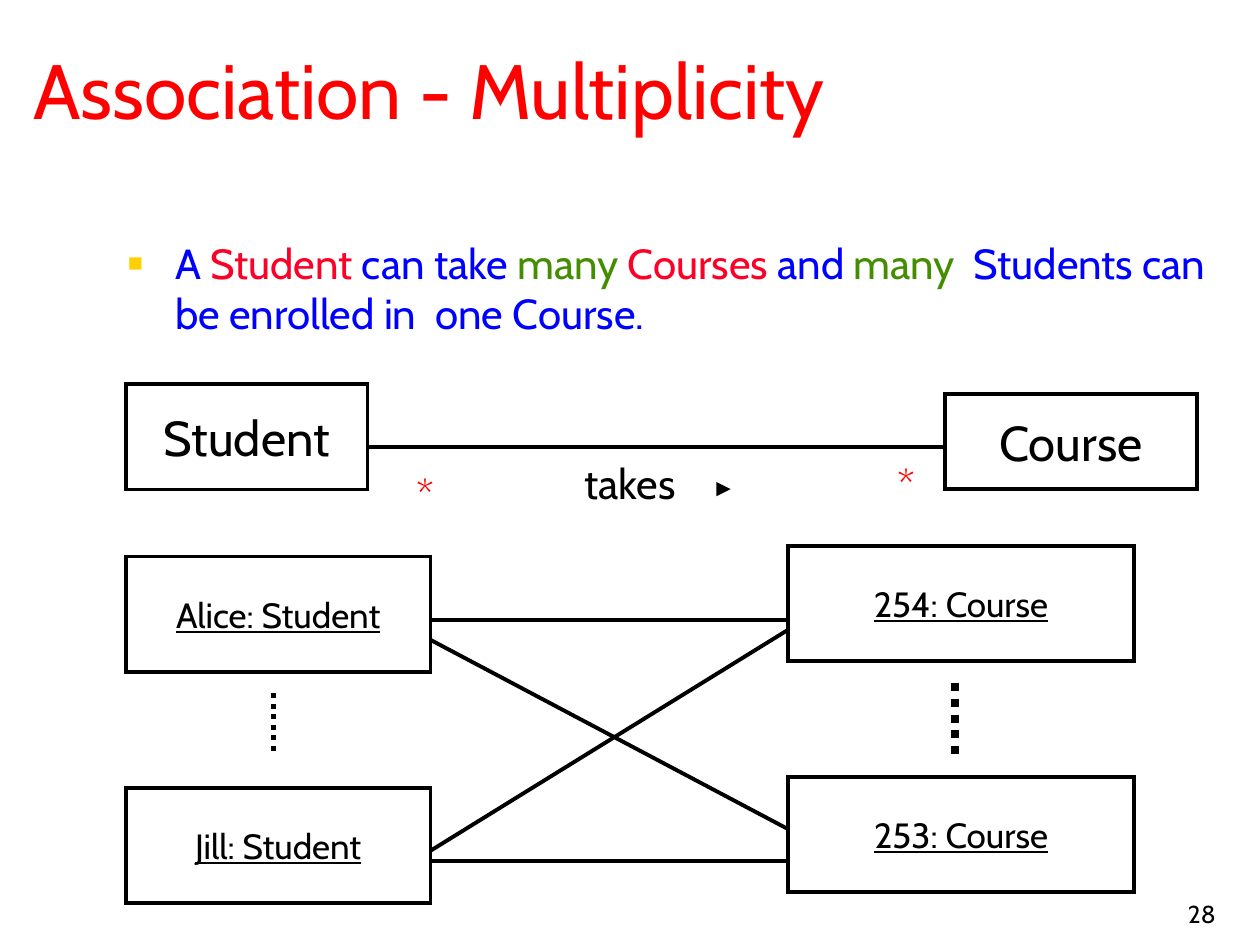
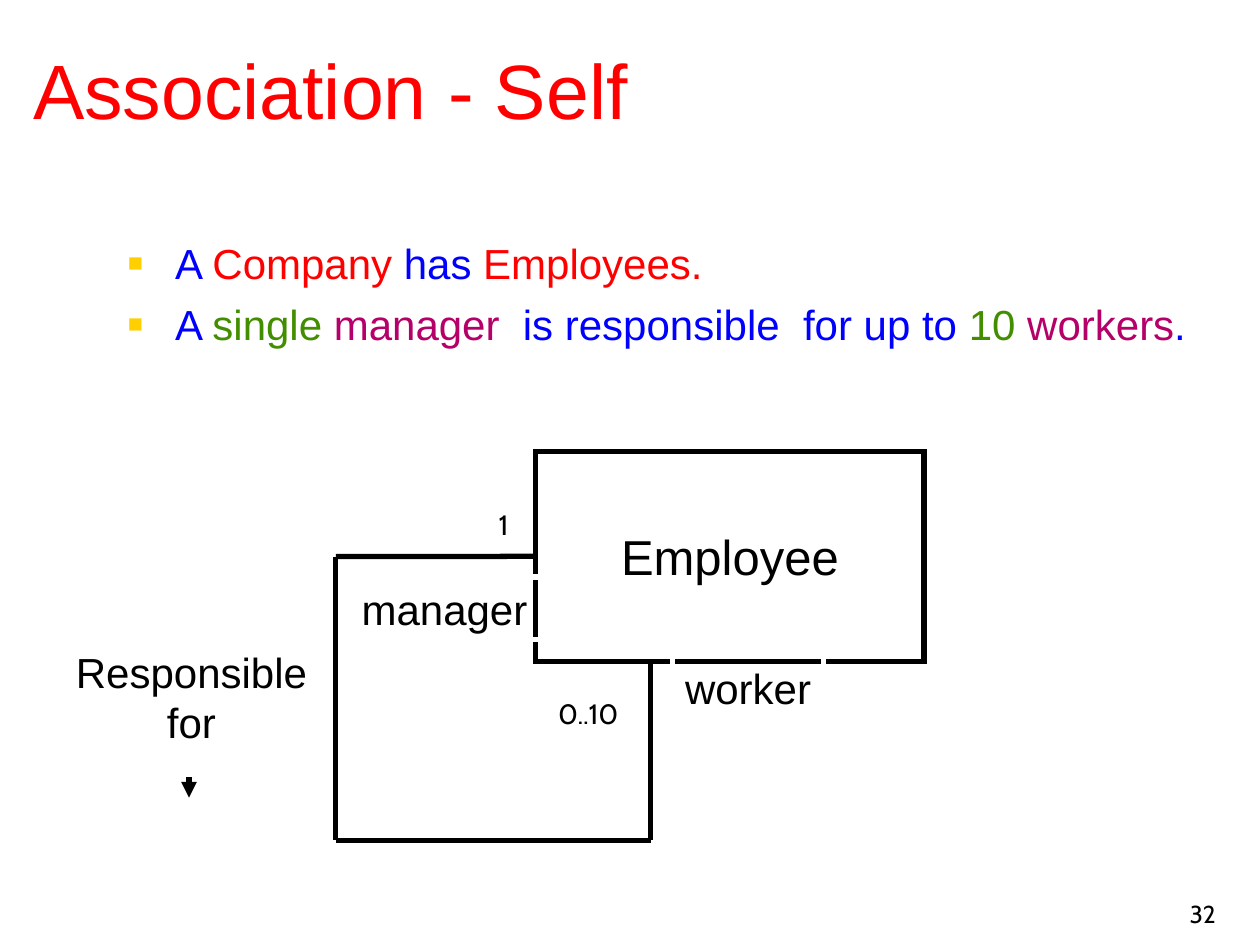
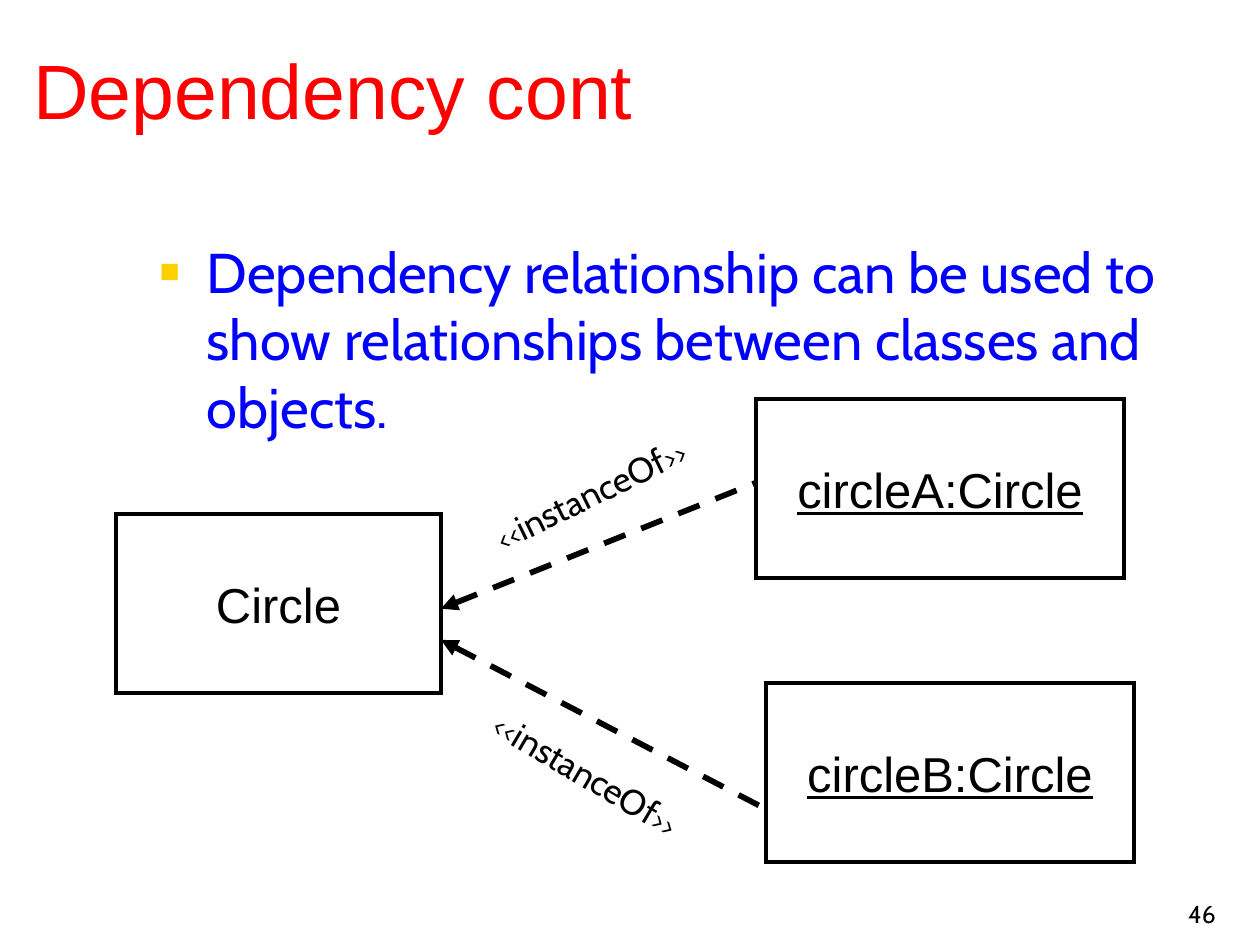
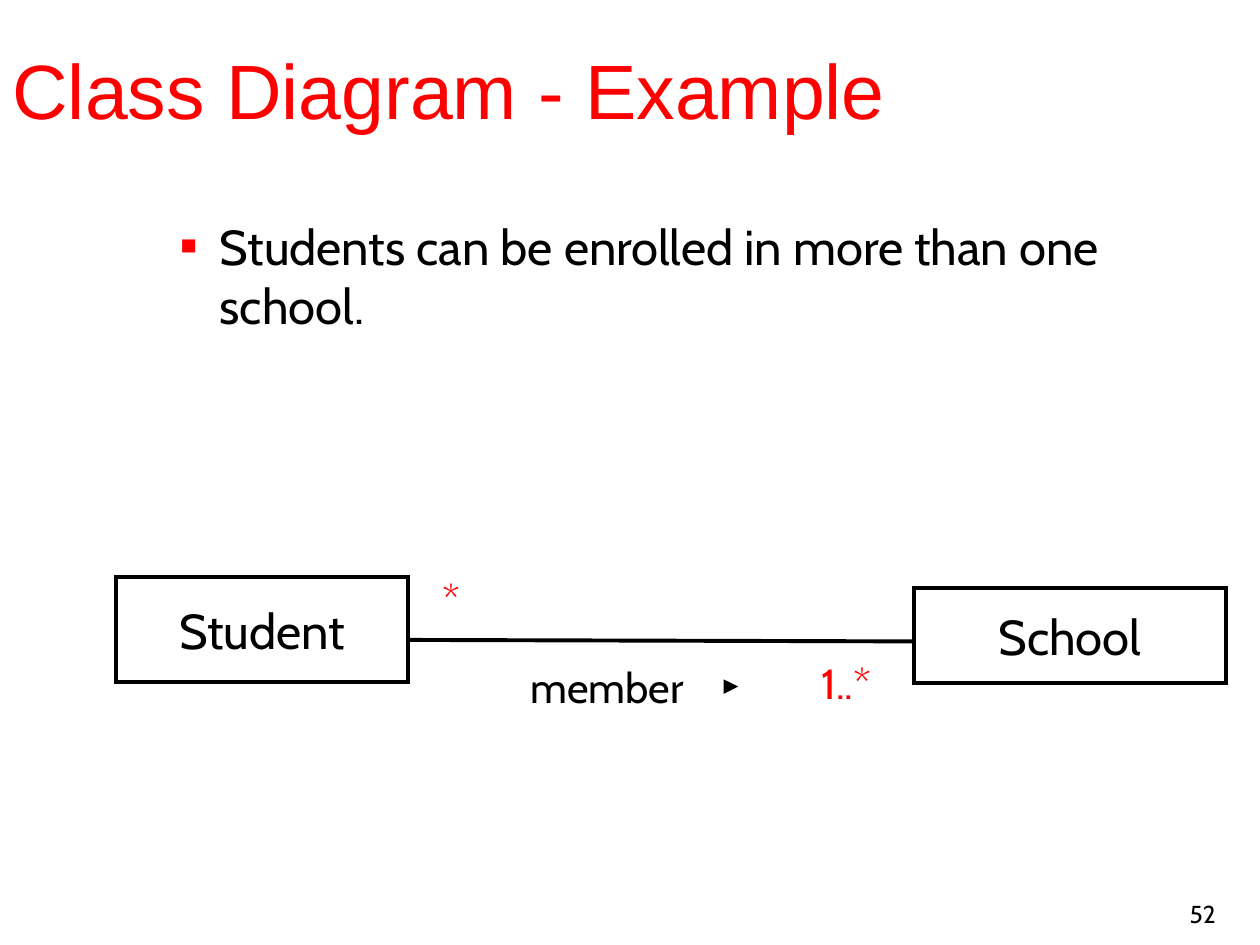
from itertools import pairwise

from pptx import Presentation
from pptx.dml.color import RGBColor
from pptx.enum.dml import MSO_LINE_DASH_STYLE as DASH
from pptx.enum.shapes import MSO_CONNECTOR as CONN, MSO_SHAPE as SHAPE
from pptx.enum.text import MSO_ANCHOR as ANCHOR, MSO_AUTO_SIZE as FIT, PP_ALIGN as ALIGN
from pptx.oxml.ns import qn
from pptx.util import Cm, Pt
from lxml.etree import SubElement

BLACK, WHITE, RED = "000000", "FFFFFF", "FF0000"
BLUE, CRIMSON, GREEN, PURPLE, GOLD = "0000FF", "FC0128", "438E00", "B50069", "FFCF01"
CABIN, ARIAL = "Cabin", "Arial"
BODY = (2.33, 4.66, 22.43, 12.37)
LABEL_H = 1.27
STUDENT_X, COURSE_X = 2.54, 15.88
OBJECT_H, OBJECT_PITCH = 2.33, 4.66


def rgb(value):
    return RGBColor.from_string(value)


def set_format(font, **values):
    for name, value in values.items():
        if name == "color":
            font.color.rgb = rgb(value)
        elif name == "size":
            font.size = Pt(value)
        else:
            setattr(font, name, value)


def add_runs(p, runs, **base):
    for text, changes in runs:
        r = p.add_run()
        r.text = text
        set_format(r.font, **{"name": CABIN, "color": BLACK, **base, **changes})


def write(tf, paragraphs, align=ALIGN.CENTER, anchor=ANCHOR.TOP, wrap=False, **base):
    settings = {
        "margin_left": Cm(0.25), "margin_right": Cm(0.25),
        "margin_top": Cm(0.13), "margin_bottom": Cm(0.13),
        "vertical_anchor": anchor, "word_wrap": wrap,
    }
    for name, value in settings.items():
        setattr(tf, name, value)
    for i, runs in enumerate(paragraphs):
        p = tf.add_paragraph() if i else tf.paragraphs[0]
        p.alignment = align
        add_runs(p, runs, **base)


def add_label(slide, text, box, rotation=0, outline=None, wrap=False, **options):
    sp = slide.shapes.add_textbox(*map(Cm, box))
    sp.rotation = rotation
    if outline:
        sp.line.color.rgb = rgb(outline)
        sp.line.width = Pt(3)
    paragraphs = [[(line, {})] for line in text.split("\n")] if isinstance(text, str) else text
    write(sp.text_frame, paragraphs, wrap=wrap, **options)
    sp.text_frame.auto_size = FIT.NONE if wrap else FIT.SHAPE_TO_FIT_TEXT


def add_class(slide, text, box, line_width=2.25, **options):
    sp = slide.shapes.add_shape(SHAPE.RECTANGLE, *map(Cm, box))
    sp.shadow.inherit = False
    sp.fill.solid()
    sp.fill.fore_color.rgb = rgb(WHITE)
    sp.line.color.rgb = rgb(BLACK)
    sp.line.width = Pt(line_width)
    SubElement(sp._element.spPr.find(qn("a:ln")), qn("a:miter"), lim="800000")
    write(sp.text_frame, [[(text, {})]], anchor=ANCHOR.MIDDLE, **{"size": 28, **options})
    return sp


def add_line(slide, start, end, width=2.25, dash=None, arrow=None):
    c = slide.shapes.add_connector(CONN.STRAIGHT, *map(Cm, (*start, *end)))
    c.line.color.rgb = rgb(BLACK)
    c.line.width = Pt(width)
    if dash:
        c.line.dash_style = dash
    spPr = c._element.spPr
    if arrow:
        SubElement(spPr.find(qn("a:ln")), qn(f"a:{arrow}"), type="triangle")
    SubElement(spPr, qn("a:effectLst"))
    return c


def add_bullets(slide, paragraphs, box=BODY, bullet=GOLD, bullet_size=60,
                margin=0.95, hanging=0.95, gap=6, **base):
    tf = slide.shapes.add_textbox(*map(Cm, box)).text_frame
    write(tf, paragraphs, align=ALIGN.LEFT, wrap=True, **base)
    for i, p in enumerate(tf.paragraphs):
        pPr = p._p.get_or_add_pPr()
        pPr.set("marL", str(Cm(margin)))
        pPr.set("indent", str(-Cm(hanging)))
        SubElement(SubElement(pPr, qn("a:buClr")), qn("a:srgbClr"), val=bullet)
        SubElement(pPr, qn("a:buSzPct"), val=str(bullet_size * 1000))
        SubElement(pPr, qn("a:buFont"), typeface=ARIAL)
        SubElement(pPr, qn("a:buChar"), char="■")
        if i:
            p.space_before = Pt(gap)


def new_slide(prs, title, number, font=ARIAL, left=0.42):
    slide = prs.slides.add_slide(prs.slide_layouts[6])
    add_label(slide, str(number), (19.47, 17.57, 5.29, LABEL_H), align=ALIGN.RIGHT,
              anchor=ANCHOR.BOTTOM, wrap=True, size=14)
    add_label(slide, title, (left, 0.42, 24.41, 2.75), align=ALIGN.LEFT,
              anchor=ANCHOR.MIDDLE, wrap=True, name=font, size=44, color=RED)
    return slide


def colored(*pairs):
    return [(text, {"color": color}) for text, color in pairs]


def add_multiplicity(prs):
    slide = new_slide(prs, "Association - Multiplicity", 28, font=CABIN)
    add_bullets(slide, [colored(
        ("A ", BLUE), ("Student ", CRIMSON), ("can take ", BLUE), ("many ", GREEN),
        ("Courses ", CRIMSON), ("and ", BLUE), ("many", GREEN),
        ("  Students can be enrolled in  one Course.", BLUE))], size=24)

    add_class(slide, "Student", (STUDENT_X, 7.75, 4.87, 2.12))
    add_class(slide, "Course", (19.05, 7.95, 5.08, 1.91))
    add_line(slide, (7.41, 9.02), (19.05, 9.02))
    add_label(slide, "takes", (11.53, 9.1, 2.4, LABEL_H), align=ALIGN.LEFT, size=24)
    add_line(slide, (14.61, 9.86), (14.73, 9.86), 2.75, arrow="tailEnd")
    for box in ((8.03, 9.32, 1.09, LABEL_H), (17.78, 9.12, 0.97, LABEL_H)):
        add_label(slide, "*", box, size=24, color=RED)

    columns = (
        (STUDENT_X, 11.22, 6.14, ("Alice: Student", "Jill: Student")),
        (COURSE_X, 11, 6.99, ("254: Course", "253: Course")),
    )
    for x, top, width, names in columns:
        for row, name in enumerate(names):
            add_class(slide, name, (x, top + row * OBJECT_PITCH, width, OBJECT_H),
                      size=20, underline=True)
    for start_y, end_y in ((12.49, 12.49), (17.15, 12.7), (12.9, 16.71), (17.35, 17.35)):
        add_line(slide, (8.68, start_y), (COURSE_X, end_y))
    for x, top, width in ((5.51, 13.97, 3), (19.25, 13.77, 4.5)):
        add_line(slide, (x, top), (x, 15.24), width, DASH.ROUND_DOT)


def add_self_association(prs):
    slide = new_slide(prs, "Association - Self", 32)
    add_bullets(slide, [
        colored(("A ", BLUE), ("Company ", RED), ("has ", BLUE), ("Employees.", RED)),
        colored(("A ", BLUE), ("single ", GREEN), ("manager  ", PURPLE),
                ("is responsible  for up to ", BLUE), ("10 ", GREEN),
                ("workers", PURPLE), (".", BLUE)),
    ], name=ARIAL, size=24)

    add_line(slide, (3.81, 15.67), (3.81, 16.08), 3, arrow="tailEnd")
    employee = add_class(slide, "Employee", (10.8, 9.1, 7.83, 4.23), 3, name=ARIAL)
    loop = ((10.8, 11.22), (6.77, 11.22), (6.77, 16.94), (13.12, 16.94), (13.12, 13.33))
    sides = [add_line(slide, start, end, 3) for start, end in pairwise(loop)]
    sides[0].begin_connect(employee, 1)

    for role, box in (("manager", (7.04, 11.63, 3.86, LABEL_H)),
                      ("worker", (13.56, 13.23, 3.05, LABEL_H))):
        add_label(slide, role, box, outline=WHITE, align=ALIGN.LEFT, name=ARIAL, size=24)
    add_label(slide, "Responsible\nfor", (1.27, 12.9, 5.18, 2.29), wrap=True,
              name=ARIAL, size=24)
    for count, box in (("1", (9.75, 10.11, 0.81, 0.94)), ("0..10", (10.97, 13.92, 1.78, 0.94))):
        add_label(slide, count, box, size=16)


def add_dependency(prs):
    slide = new_slide(prs, "Dependency cont", 46)
    text = ("Dependency relationship can be used to show relationships "
            "between classes and objects.")
    add_bullets(slide, [[(text, {})]], box=(2.97, *BODY[1:]), size=32, color=BLUE)

    add_class(slide, "Circle", (2.34, 10.36, 6.55, 3.61), name=ARIAL)
    for name, x, y in (("circleA:Circle", 15.24, 8.05), ("circleB:Circle", 15.44, 13.77)):
        add_class(slide, name, (x, y, 7.42, 3.61), name=ARIAL, underline=True)
    for start, end in (((8.89, 12.27), (15.24, 9.73)), ((8.89, 12.9), (15.44, 16.31))):
        add_line(slide, start, end, 3.25, DASH.DASH, arrow="headEnd")

    stereotype = [[("<<", {}), ("instanceOf", {"size": 20}), (">>", {})]]
    for x, y, angle in ((9.22, 9.4, 333.9), (9.14, 15.04, 30.7)):
        add_label(slide, stereotype, (x, y, 5.36, 1.12), rotation=angle, size=16)


def add_class_example(prs):
    slide = new_slide(prs, "Class Diagram - Example", 52, left=0)
    add_bullets(slide, [[("Students can be enrolled in more than one school.", {})]],
                box=(2.12, 4.23, *BODY[2:]), bullet=RED, bullet_size=55,
                margin=2.06, hanging=0.79, size=28)

    add_class(slide, "Student", (2.34, 11.63, 5.89, 2.12))
    add_class(slide, "School", (18.42, 11.86, 6.3, 1.91))
    add_line(slide, (8.25, 12.9), (18.42, 12.93))
    add_label(slide, "member", (10.44, 13.21, 5.38, LABEL_H), align=ALIGN.LEFT,
              wrap=True, size=24)
    add_line(slide, (14.76, 13.84), (14.88, 13.84), 2.75, arrow="tailEnd")
    for count, box in (("*", (8.46, 11.43, 1.27, LABEL_H)),
                       ("1..*", (16.08, 13.13, 1.96, LABEL_H))):
        add_label(slide, count, box, wrap=True, size=24, color=RED)


def main():
    prs = Presentation()
    prs.slide_width, prs.slide_height = Cm(25.4), Cm(19.05)
    for build in (add_multiplicity, add_self_association, add_dependency, add_class_example):
        build(prs)
    prs.save("out.pptx")


if __name__ == "__main__":
    main()
